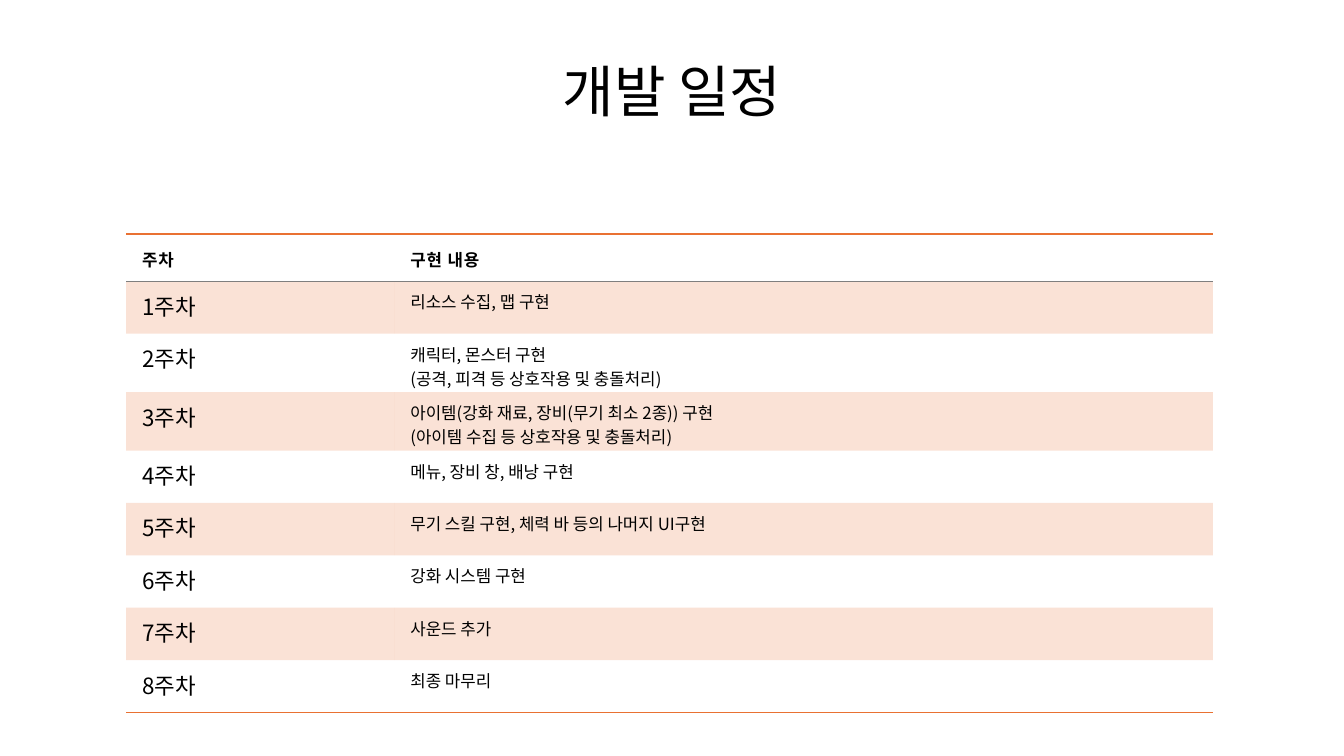
"""Builds the development schedule slide."""
from pptx import Presentation
from pptx.dml.color import RGBColor
from pptx.enum.shapes import MSO_SHAPE
from pptx.enum.text import MSO_ANCHOR, PP_ALIGN
from pptx.oxml import parse_xml
from pptx.oxml.ns import nsdecls, qn
from pptx.util import Inches, Pt

RECTANGLE = MSO_SHAPE.RECTANGLE
TOP, MIDDLE, BOTTOM = MSO_ANCHOR.TOP, MSO_ANCHOR.MIDDLE, MSO_ANCHOR.BOTTOM
CENTER = PP_ALIGN.CENTER

FONT = "Noto Sans CJK KR"
BLACK = RGBColor(0x00, 0x00, 0x00)
WHITE = RGBColor(0xFF, 0xFF, 0xFF)
ORANGE = RGBColor(0xE9, 0x71, 0x32)
GRAY = RGBColor(0x7F, 0x7F, 0x7F)
NO_TABLE_STYLE = "{2D5ABB26-0587-4C30-8999-92F81FD0307C}"

SCHEDULE = [
    ("주차", "구현 내용"),
    ("1주차", "리소스 수집, 맵 구현"),
    ("2주차", "캐릭터, 몬스터 구현\n(공격, 피격 등 상호작용 및 충돌처리)"),
    ("3주차", "아이템(강화 재료, 장비(무기 최소 2종)) 구현\n(아이템 수집 등 상호작용 및 충돌처리)"),
    ("4주차", "메뉴, 장비 창, 배낭 구현"),
    ("5주차", "무기 스킬 구현, 체력 바 등의 나머지 UI구현"),
    ("6주차", "강화 시스템 구현"),
    ("7주차", "사운드 추가"),
    ("8주차", "최종 마무리"),
]
LAST_WEEK = len(SCHEDULE) - 1


def style_text(text_frame, size, bold=False):
    for paragraph in text_frame.paragraphs:
        for run in paragraph.runs:
            run.font.name = FONT
            run.font.size = Pt(size)
            run.font.bold = bold
            run.font.color.rgb = BLACK
            properties = run._r.get_or_add_rPr()
            properties.append(parse_xml(f'<a:ea {nsdecls("a")} typeface="{FONT}"/>'))
            if bold:
                properties.set("spc", "60")


def add_border(cell, side, color, width):
    cell._tc.get_or_add_tcPr().append(parse_xml(
        f'<a:{side} {nsdecls("a")} w="{Pt(width)}"><a:solidFill>'
        f'<a:srgbClr val="{color}"/></a:solidFill></a:{side}>'))


prs = Presentation()
prs.slide_width, prs.slide_height = Inches(13.33), Inches(7.5)
slide = prs.slides.add_slide(prs.slide_layouts[6])

header_band = slide.shapes.add_shape(RECTANGLE, 0, 0, Inches(13.33), Inches(1.86))
header_band.shadow.inherit = False
header_band.fill.solid()
header_band.fill.fore_color.rgb = WHITE
header_band.line.fill.background()

title = slide.shapes.add_textbox(Inches(1.25), Inches(0.3), Inches(10.83), Inches(1.27)).text_frame
title.word_wrap = True
title.vertical_anchor = MIDDLE
title.text = "개발 일정"
title.paragraphs[0].alignment = CENTER
title.paragraphs[0].line_spacing = 0.9
style_text(title, 40)

schedule = slide.shapes.add_table(
    len(SCHEDULE), 2, Inches(1.25), Inches(2.32), Inches(10.78), Inches(4.63)).table
schedule._tbl.tblPr.find(qn("a:tableStyleId")).text = NO_TABLE_STYLE
schedule.horz_banding = False
schedule.columns[0].width = Inches(2.66)
schedule.columns[1].width = Inches(8.12)

for week, entries in enumerate(SCHEDULE):
    is_header = week == 0
    schedule.rows[week].height = Inches(0.47 if is_header else 0.52)
    for column, entry in enumerate(entries):
        cell = schedule.cell(week, column)
        cell.text_frame.text = entry
        style_text(cell.text_frame, 12 if is_header or column else 16, is_header)
        cell.vertical_anchor = BOTTOM if is_header else TOP
        cell.margin_left = cell.margin_right = Inches(0.16)
        cell.margin_top = Inches(0.1 if is_header else 0.08)
        cell.margin_bottom = Inches(0.1)
        if is_header:
            add_border(cell, "lnT", ORANGE, 1.5)
            add_border(cell, "lnB", GRAY, 0.75)
        elif week == LAST_WEEK:
            add_border(cell, "lnB", ORANGE, 1.5)
        if week % 2:
            cell.fill.solid()
            cell.fill.fore_color.rgb = ORANGE
            tint = cell._tc.tcPr.find(qn("a:solidFill"))[0]
            tint.append(parse_xml(f'<a:alpha {nsdecls("a")} val="20000"/>'))
        else:
            cell.fill.background()

prs.save("out.pptx")
